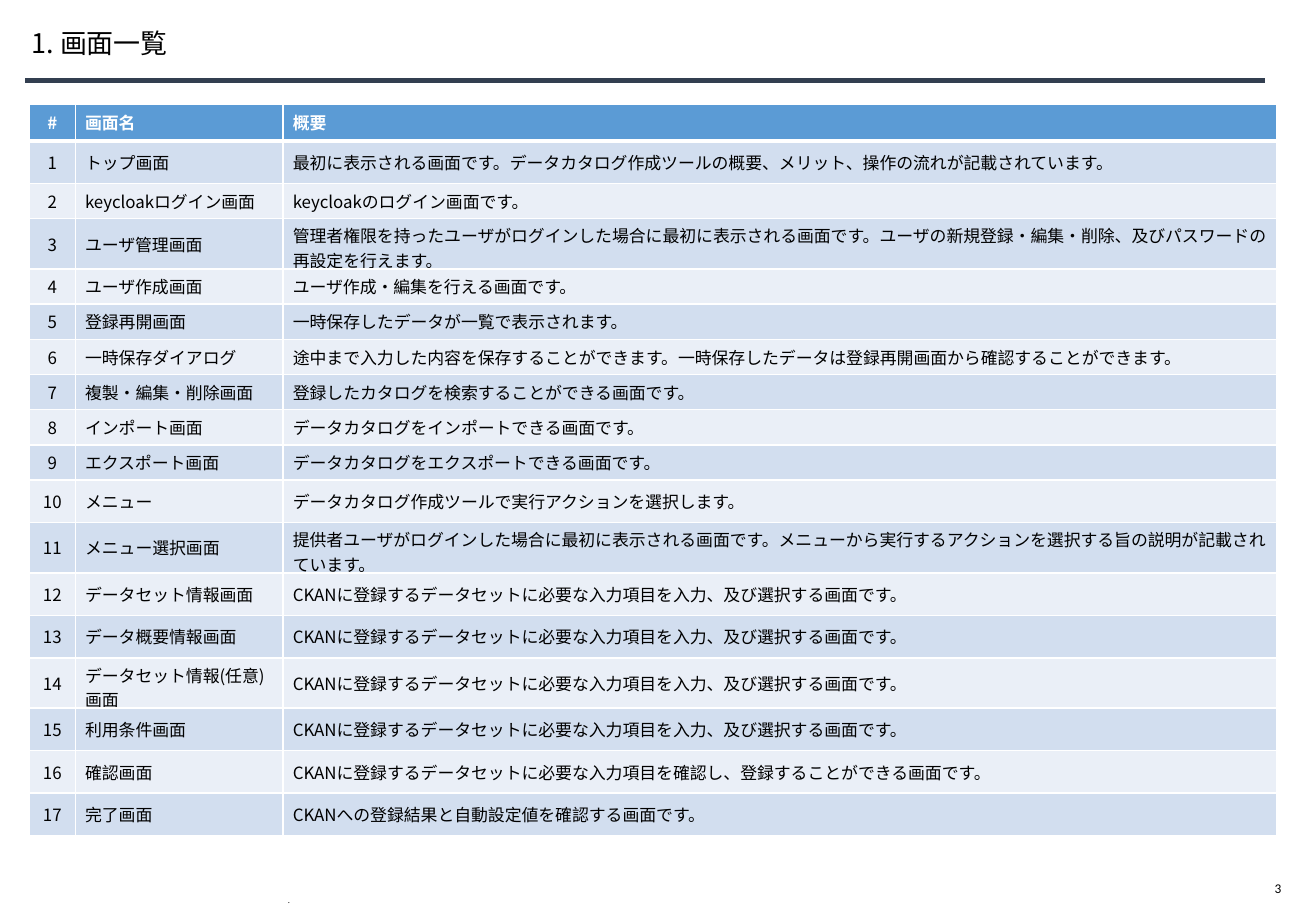
import pptx
import pptx.dml.color
import pptx.enum.shapes
import pptx.enum.text
import pptx.oxml.ns
import pptx.util
from lxml import etree
from pptx.util import Inches

FONT = "Noto Sans CJK JP"
ANCHOR = pptx.enum.text.MSO_ANCHOR
qn = pptx.oxml.ns.qn


def color(hex_string):
    return pptx.dml.color.RGBColor.from_string(hex_string)


def write(text_frame, text, size, hex_string="000000", bold=False, name=FONT):
    text_frame.text = text
    paragraph = text_frame.paragraphs[0]
    for run in paragraph.runs:
        run.font.size = pptx.util.Pt(size)
        run.font.bold = bold
        run.font.color.rgb = color(hex_string)
        run.font.name = name
        etree.SubElement(run.font._element, qn("a:ea"), typeface=name)
    return paragraph


presentation = pptx.Presentation()
presentation.slide_width = Inches(10.83)
presentation.slide_height = Inches(7.5)
slide = presentation.slides.add_slide(presentation.slide_layouts[6])

# Title
title = slide.shapes.add_textbox(Inches(0.26), Inches(0.13), Inches(9.92), Inches(0.47))
title.text_frame.word_wrap = True
title.text_frame.vertical_anchor = ANCHOR.MIDDLE
title.text_frame.margin_left = 0
write(title.text_frame, "1. 画面一覧", 16).line_spacing = 0.9

# Rule under the title
rule = slide.shapes.add_connector(
    pptx.enum.shapes.MSO_CONNECTOR.STRAIGHT,
    Inches(0.21), Inches(0.66), Inches(10.41), Inches(0.66))
rule.line.color.rgb = color("333F50")
rule.line.width = pptx.util.Pt(3)
etree.SubElement(rule._element.spPr, qn("a:effectLst"))

# Screen list: name, summary, row height
CKAN_INPUT = "CKANに登録するデータセットに必要な入力項目を入力、及び選択する画面です。"
screens = [
    ("トップ画面", "最初に表示される画面です。データカタログ作成ツールの概要、メリット、操作の流れが記載されています。", 0.35),
    ("keycloakログイン画面", "keycloakのログイン画面です。", 0.29),
    ("ユーザ管理画面", "管理者権限を持ったユーザがログインした場合に最初に表示される画面です。"
     "ユーザの新規登録・編集・削除、及びパスワードの再設定を行えます。", 0.29),
    ("ユーザ作成画面", "ユーザ作成・編集を行える画面です。", 0.29),
    ("登録再開画面", "一時保存したデータが一覧で表示されます。", 0.29),
    ("一時保存ダイアログ", "途中まで入力した内容を保存することができます。"
     "一時保存したデータは登録再開画面から確認することができます。", 0.29),
    ("複製・編集・削除画面", "登録したカタログを検索することができる画面です。", 0.29),
    ("インポート画面", "データカタログをインポートできる画面です。", 0.29),
    ("エクスポート画面", "データカタログをエクスポートできる画面です。", 0.29),
    ("メニュー", "データカタログ作成ツールで実行アクションを選択します。", 0.35),
    ("メニュー選択画面", "提供者ユーザがログインした場合に最初に表示される画面です。"
     "メニューから実行するアクションを選択する旨の説明が記載されています。", 0.35),
    ("データセット情報画面", CKAN_INPUT, 0.35),
    ("データ概要情報画面", CKAN_INPUT, 0.35),
    ("データセット情報(任意)画面", CKAN_INPUT, 0.41),
    ("利用条件画面", CKAN_INPUT, 0.35),
    ("確認画面", "CKANに登録するデータセットに必要な入力項目を確認し、登録することができる画面です。", 0.35),
    ("完了画面", "CKANへの登録結果と自動設定値を確認する画面です。", 0.35),
]
rows = [("#", "画面名", "概要", 0.3)]
rows += [(str(number), *screen) for number, screen in enumerate(screens, 1)]

# Table
table = slide.shapes.add_table(
    len(rows), 3, Inches(0.24), Inches(0.86), Inches(10.27), Inches(5.83)).table
for column, width in zip(table.columns, (0.38, 1.71, 8.18)):
    column.width = Inches(width)

for row_index, (*texts, height) in enumerate(rows):
    table.rows[row_index].height = Inches(height)
    is_header = row_index == 0
    fill = "5B9BD5" if is_header else ("EAEFF7", "D2DEEF")[row_index % 2]
    for column_index, text in enumerate(texts):
        cell = table.cell(row_index, column_index)
        cell.vertical_anchor = ANCHOR.MIDDLE
        cell.margin_left = cell.margin_right = Inches(0.08)
        cell.margin_top = cell.margin_bottom = Inches(0.04)
        paragraph = write(cell.text_frame, text, 10,
                          "FFFFFF" if is_header else "000000", is_header)
        if column_index == 0:
            paragraph.alignment = pptx.enum.text.PP_ALIGN.CENTER

        # White borders, thicker below the header
        for side in ("lnL", "lnR", "lnT", "lnB"):
            thick = (row_index, side) in ((0, "lnB"), (1, "lnT"))
            border = etree.SubElement(cell._tc.get_or_add_tcPr(), qn("a:" + side),
                                      w=str(pptx.util.Pt(3 if thick else 1)))
            border_fill = etree.SubElement(border, qn("a:solidFill"))
            etree.SubElement(border_fill, qn("a:srgbClr"), val="FFFFFF")
        cell.fill.solid()
        cell.fill.fore_color.rgb = color(fill)

# Page number
page_number = slide.shapes.add_textbox(Inches(10.39), Inches(7.2), Inches(0.39), Inches(0.23))
page_number.text_frame.word_wrap = False
write(page_number.text_frame, "3", 7.9, name="Calibri")

# Footer dot
footer = slide.shapes.add_textbox(Inches(2.27), Inches(7.38), Inches(6.3), Inches(0.12))
footer.text_frame.word_wrap = True
footer.text_frame.vertical_anchor = ANCHOR.BOTTOM
write(footer.text_frame, ".", 4.6).line_spacing = pptx.util.Pt(1.3)

presentation.save("out.pptx")
